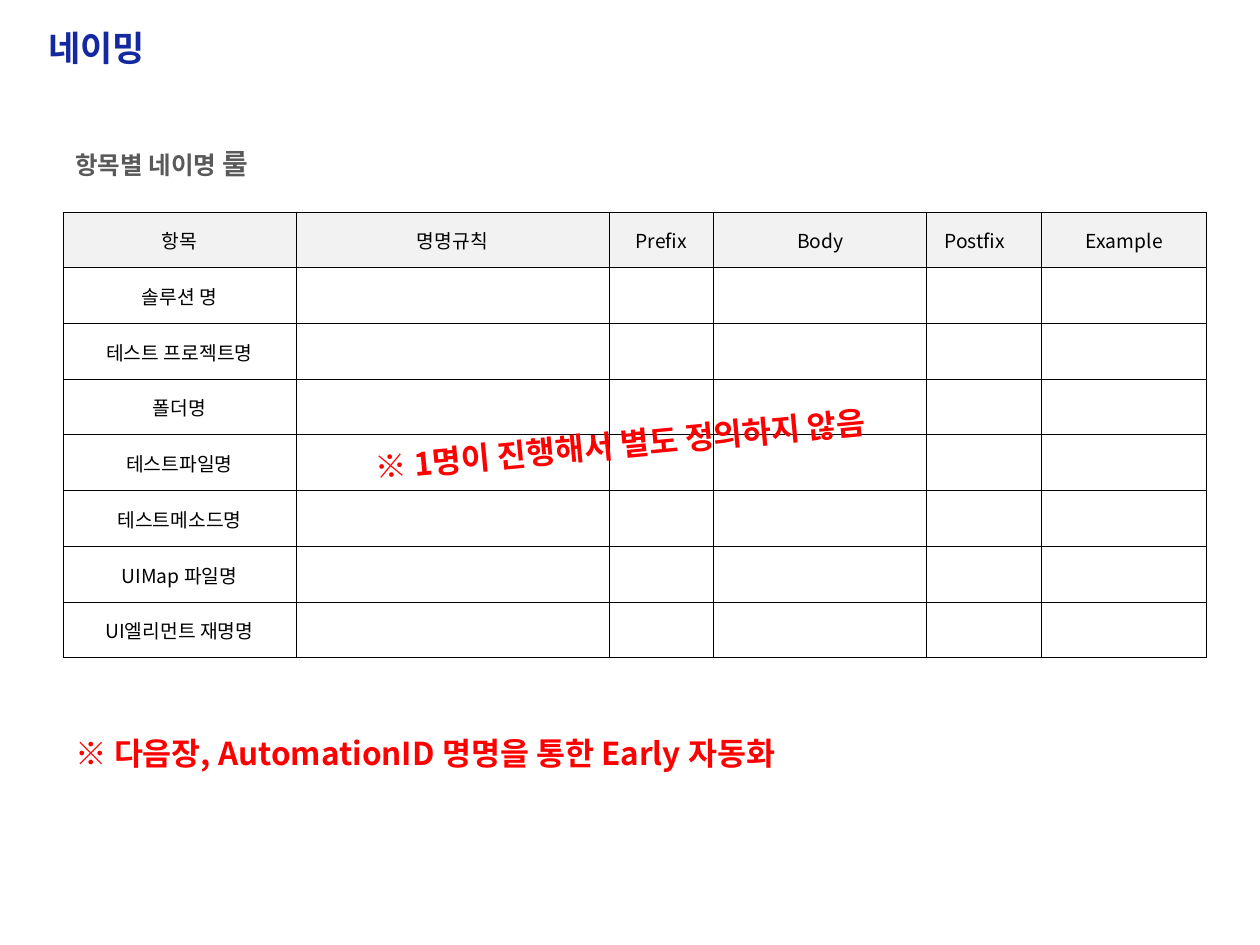
from lxml import etree
from pptx import Presentation
from pptx import util as u
from pptx.dml.color import RGBColor
from pptx.enum import text
from pptx.oxml.ns import qn

FONT = "Noto Sans CJK KR"
BLUE = RGBColor(0x14, 0x28, 0xA0)
GRAY = RGBColor(0x59, 0x59, 0x59)
RED = RGBColor(0xFF, 0x00, 0x00)
BLACK = RGBColor(0x00, 0x00, 0x00)
HEADER_FILL = RGBColor(0xF2, 0xF2, 0xF2)

COLUMN_WIDTHS = [233, 313, 105, 213, 115, 165]
HEADERS = ["항목", "명명규칙", "Prefix", "Body", "Postfix　", "Example"]
ITEMS = ["솔루션 명", "테스트 프로젝트명", "폴더명", "테스트파일명",
         "테스트메소드명", "UIMap 파일명", "UI엘리먼트 재명명"]

TITLE = {"size": u.Pt(20), "bold": True, "color": BLUE}
SUBTITLE = {"size": u.Pt(14), "bold": True, "color": GRAY}
NOTE = {"size": u.Pt(18), "bold": True, "color": RED}
CELL = {"size": u.Pt(11), "bold": False, "color": BLACK}


def px(length):
    """Turn pixels into EMU."""
    return u.Inches(length / 126)


def set_attributes(target, values):
    """Set every attribute named in a dict."""
    for name, value in values.items():
        setattr(target, name, value)


def add_run(paragraph, wording, style):
    """Add a formatted run with Latin and East Asian fonts."""
    run = paragraph.add_run()
    run.text = wording
    values = dict(style, name=FONT)
    run.font.color.rgb = values.pop("color")
    set_attributes(run.font, values)
    latin = run.font._element.find(qn("a:latin"))
    east_asian = etree.Element(qn("a:ea"), typeface=FONT)
    latin.addnext(east_asian)


def add_title(slide, wording):
    """Place and format the title placeholder."""
    shape = slide.shapes.title
    set_attributes(shape, {"left": px(37), "top": px(21),
                           "width": px(1050), "height": px(53)})
    set_attributes(shape.text_frame, {
        "margin_left": px(11), "margin_right": px(11),
        "margin_top": px(5), "margin_bottom": px(5), "word_wrap": True,
        "vertical_anchor": text.MSO_ANCHOR.MIDDLE,
        "auto_size": text.MSO_AUTO_SIZE.SHAPE_TO_FIT_TEXT})
    paragraph = shape.text_frame.paragraphs[0]
    paragraph.alignment = text.PP_ALIGN.LEFT
    add_run(paragraph, wording, TITLE)


def add_text(slide, box, runs, frame_format, rotation=0):
    """Add a text box with one paragraph of runs and return the paragraph."""
    shape = slide.shapes.add_textbox(*map(px, box))
    shape.rotation = rotation
    set_attributes(shape.text_frame, frame_format)
    paragraph = shape.text_frame.paragraphs[0]
    for wording, style in runs:
        add_run(paragraph, wording, style)
    return paragraph


def add_note(slide, box, wording, rotation=0):
    """Add a red remark on one line."""
    add_text(slide, box, [(wording, NOTE)],
             {"word_wrap": False,
              "auto_size": text.MSO_AUTO_SIZE.SHAPE_TO_FIT_TEXT}, rotation)


def add_borders(cell):
    """Draw thin black lines on all four sides of a cell."""
    properties = cell._tc.get_or_add_tcPr()
    for index, side in enumerate(("lnL", "lnR", "lnT", "lnB")):
        line = etree.Element(qn(f"a:{side}"), w=str(u.Pt(0.5)))
        fill = etree.SubElement(line, qn("a:solidFill"))
        etree.SubElement(fill, qn("a:srgbClr"), val=str(BLACK))
        properties.insert(index, line)


def format_cell(cell, wording, is_header):
    """Fill, frame and write one table cell."""
    set_attributes(cell, {
        "margin_left": px(1), "margin_right": px(1), "margin_top": px(1),
        "margin_bottom": 0, "vertical_anchor": text.MSO_ANCHOR.MIDDLE})
    if is_header:
        cell.fill.solid()
        cell.fill.fore_color.rgb = HEADER_FILL
    else:
        cell.fill.background()
    add_borders(cell)
    if wording:
        paragraph = cell.text_frame.paragraphs[0]
        paragraph.alignment = text.PP_ALIGN.CENTER
        add_run(paragraph, wording, CELL)


def add_naming_table(slide):
    """Add the table of naming rules per item."""
    rows = [HEADERS] + [[item] + [""] * (len(HEADERS) - 1) for item in ITEMS]
    table = slide.shapes.add_table(
        len(rows), len(HEADERS), px(63), px(212),
        px(sum(COLUMN_WIDTHS)), px(446)).table
    set_attributes(table, {"first_row": False, "horz_banding": False})
    for column, width in zip(table.columns, COLUMN_WIDTHS):
        column.width = px(width)
    for row_index, row in enumerate(rows):
        for column_index, wording in enumerate(row):
            format_cell(table.cell(row_index, column_index), wording, row_index == 0)


def main():
    """Build the naming slide and save it."""
    presentation = Presentation()
    set_attributes(presentation, {"slide_width": px(1260), "slide_height": px(945)})
    slide = presentation.slides.add_slide(presentation.slide_layouts[5])
    add_title(slide, "네이밍")
    subtitle = add_text(
        slide, (63, 140, 1134, 44),
        [("항목별 네이명 ", SUBTITLE), ("룰", dict(SUBTITLE, size=u.Pt(16)))],
        {"word_wrap": True})
    subtitle.space_before = u.Pt(3)
    add_naming_table(slide)
    add_note(slide, (63, 728, 769, 50),
             "※ 다음장, AutomationID 명명을 통한 Early 자동화")
    add_note(slide, (362, 416, 576, 50),
             "※ 1명이 진행해서 별도 정의하지 않음", 354.5)
    presentation.save("out.pptx")


if __name__ == "__main__":
    main()
